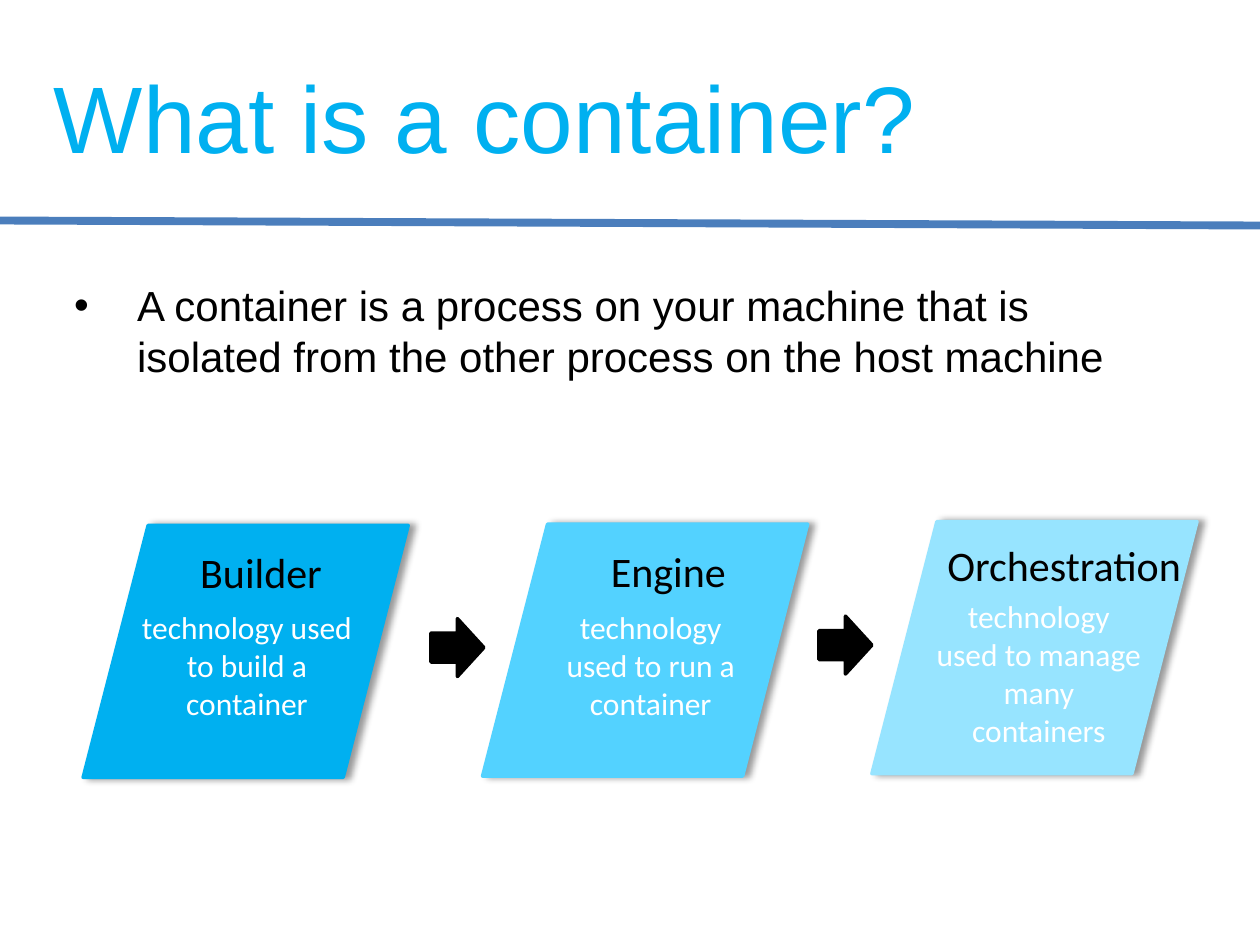
from lxml import etree
from pptx import Presentation
from pptx.dml.color import RGBColor
from pptx.enum.shapes import MSO_CONNECTOR, MSO_SHAPE
from pptx.enum.text import PP_ALIGN
from pptx.oxml import parse_xml
from pptx.oxml.ns import nsdecls, qn
from pptx.util import Inches, Pt

STRAIGHT = MSO_CONNECTOR.STRAIGHT
PARALLELOGRAM = MSO_SHAPE.FLOWCHART_DATA
ARROW = MSO_SHAPE.RIGHT_ARROW
LEFT, CENTER = PP_ALIGN.LEFT, PP_ALIGN.CENTER
BLACK, WHITE, SKY, RULE = "000000", "FFFFFF", "00B0F0", "4B7EBC"


def color(value):
    return RGBColor.from_string(value)


class Deck:
    heading_font = "Arial"
    diagram_font = "Calibri"

    def __init__(self):
        self.presentation = Presentation()
        self.presentation.slide_width = Inches(10)
        self.presentation.slide_height = Inches(7.5)
        self.slide = self.presentation.slides.add_slide(self.presentation.slide_layouts[6])

    def text(self, box, words, size, fill, font, align=LEFT, wrap=True):
        frame = self.slide.shapes.add_textbox(*map(Inches, box)).text_frame
        frame.word_wrap = wrap
        paragraph = frame.paragraphs[0]
        paragraph.text = words
        paragraph.alignment = align
        paragraph.font.size = Pt(size)
        paragraph.font.name = font
        paragraph.font.color.rgb = color(fill)
        return paragraph

    def bullet(self, box, words, size, fill, font):
        properties = self.text(box, words, size, fill, font)._p.get_or_add_pPr()
        properties.set("marL", str(Inches(0.5)))
        properties.set("indent", str(Inches(-0.5)))
        etree.SubElement(properties, qn("a:buFont")).set("typeface", font)
        etree.SubElement(properties, qn("a:buChar")).set("char", "•")

    def rule(self, start, end, fill, width):
        line = self.slide.shapes.add_connector(STRAIGHT, *map(Inches, start + end))
        line.line.color.rgb = color(fill)
        line.line.width = Pt(width)
        etree.SubElement(line._element.spPr, qn("a:effectLst"))

    def shape(self, kind, box, fill):
        shape = self.slide.shapes.add_shape(kind, *map(Inches, box))
        shape.shadow.inherit = False
        shape.fill.solid()
        shape.fill.fore_color.rgb = color(fill)
        shape.line.color.rgb = color(fill)
        shape.line.width = Pt(2)
        return shape

    def shadowed(self, kind, box, fill):
        effects = self.shape(kind, box, fill)._element.spPr.find(qn("a:effectLst"))
        effects.append(parse_xml(
            f'<a:outerShdw {nsdecls("a")} blurRad="{Pt(4)}" dist="{Pt(3)}" dir="0" '
            'algn="l" rotWithShape="0"><a:srgbClr val="000000">'
            '<a:alpha val="40000"/></a:srgbClr></a:outerShdw>'))


def main():
    deck = Deck()
    deck.text((0.33, 0.42, 8.08, 1.01), "What is a container?", 54, SKY, deck.heading_font)
    deck.bullet((0.49, 2.17, 9, 1.31),
                "A container is a process on your machine that is isolated "
                "from the other process on the host machine",
                24, BLACK, deck.heading_font)
    deck.rule((0, 1.75), (10, 1.79), RULE, 4.5)

    stages = [
        ("Builder", "technology used to build a container", SKY,
         (0.66, 4.17), (1.49, 4.29, 1.21, 0.5), (0.92, 4.78, 2.08, 1.01)),
        ("Engine", "technology used to run a container", "53D2FF",
         (3.83, 4.16), (4.75, 4.28, 1.12, 0.5), (4.25, 4.78, 1.83, 1.01)),
        ("Orchestration", "technology used to manage many containers", "97E4FF",
         (6.92, 4.14), (7.42, 4.23, 2.08, 0.5), (7.33, 4.69, 1.83, 1.31)),
    ]
    for name, purpose, fill, corner, name_box, purpose_box in stages:
        deck.shadowed(PARALLELOGRAM, corner + (2.58, 2), fill)
        deck.text(name_box, name, 24, BLACK, deck.diagram_font, wrap=False)
        deck.text(purpose_box, purpose, 18, WHITE, deck.diagram_font, CENTER)

    for corner in ((3.42, 4.91), (6.5, 4.89)):
        deck.shape(ARROW, corner + (0.42, 0.46), BLACK)

    deck.presentation.save("out.pptx")


if __name__ == "__main__":
    main()
